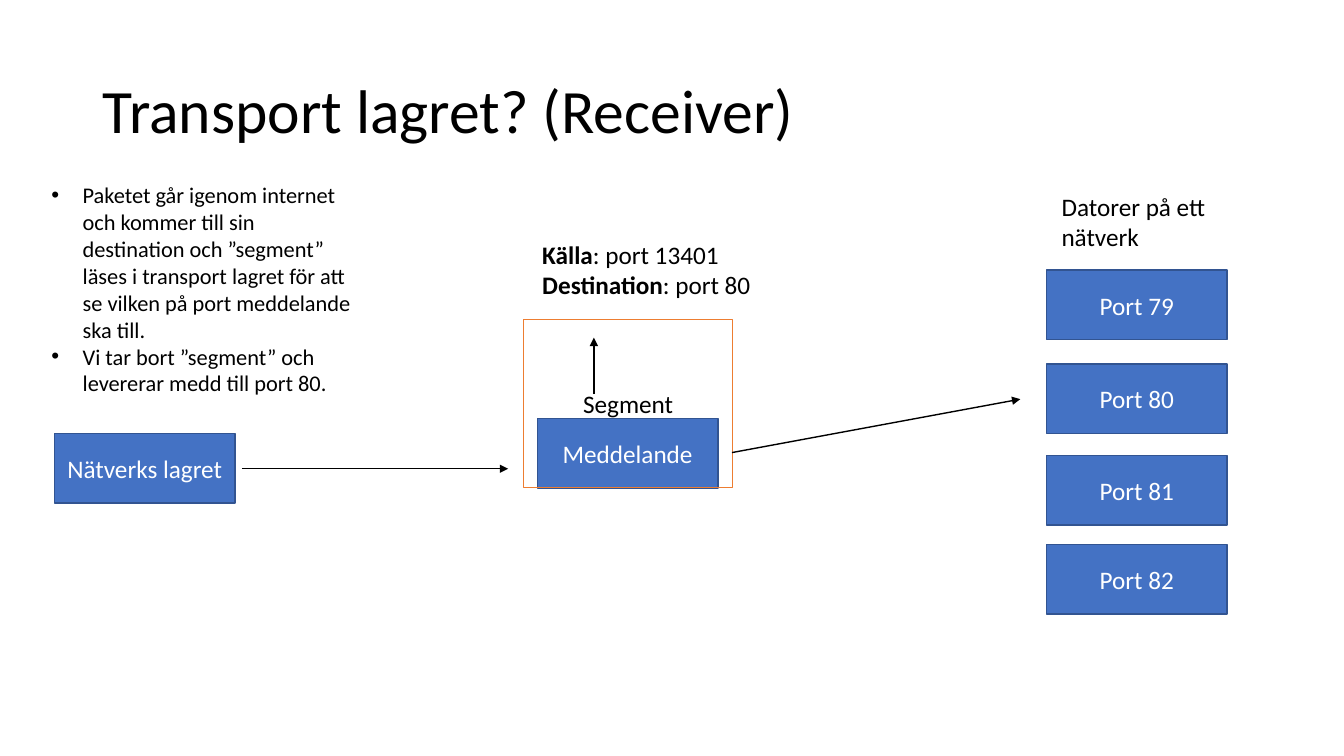
from pptx import Presentation
from pptx.dml.color import RGBColor
from pptx.enum import shapes, text
from pptx.oxml.ns import qn
from pptx.util import Inches, Pt
from lxml import etree

# Content
TITLE = "Transport lagret? (Receiver)"
POINTS = [
    "Paketet går igenom internet och kommer till sin destination och ”segment” "
    "läses i transport lagret för att se vilken på port meddelande ska till.",
    "Vi tar bort ”segment” och levererar medd till port 80.",
]
PORTS = {"Port 79": 2.68, "Port 80": 3.61, "Port 81": 4.52, "Port 82": 5.4}
HEADER_FIELDS = [("Källa", ": port 13401"), ("Destination", ": port 80")]
NETWORK_LABEL = "Datorer på ett nätverk"
ARROWS = [
    ((2.4, 4.65), (5.04, 4.65)),  # network layer to segment
    ((7.26, 4.49), (10.12, 3.96)),  # segment to port 80
    ((5.89, 3.91), (5.89, 3.35)),  # segment to its header
]
COLORS = {"text": "000000", "white": "FFFFFF", "blue": "4472C4",
          "edge": "325491", "orange": "ED7D31"}
FONT = "Calibri"
BOX_SIZE = (1.79, 0.69)
PORT_LEFT = 10.38


def color(name):
    return RGBColor.from_string(COLORS[name])


def format_text(frame, size=18, ink="text", align=text.PP_ALIGN.LEFT):
    frame.word_wrap = True
    for para in frame.paragraphs:
        para.alignment = align
        for span in para.runs:
            span.font.name = FONT
            span.font.size = Pt(size)
            span.font.color.rgb = color(ink)


def place(shape, left, top, width, height):
    shape.left, shape.top = Inches(left), Inches(top)
    shape.width, shape.height = Inches(width), Inches(height)


def add_box(label, left, top, size=BOX_SIZE, fill="blue", edge="edge",
            weight=1, ink="white"):
    box = page.shapes.add_shape(shapes.MSO_SHAPE.RECTANGLE,
                                *map(Inches, (left, top, *size)))
    box.shadow.inherit = False
    if fill:
        box.fill.solid()
        box.fill.fore_color.rgb = color(fill)
    else:
        box.fill.background()
    box.line.color.rgb = color(edge)
    box.line.width = Pt(weight)
    frame = box.text_frame
    frame.text = label
    frame.vertical_anchor = text.MSO_ANCHOR.MIDDLE
    format_text(frame, ink=ink, align=text.PP_ALIGN.CENTER)


def add_arrow(start, end):
    arrow = page.shapes.add_connector(shapes.MSO_CONNECTOR.STRAIGHT,
                                      *map(Inches, (*start, *end)))
    arrow.line.color.rgb = color("text")
    arrow.line.width = Pt(1)
    etree.SubElement(arrow.line._get_or_add_ln(), qn("a:tailEnd"), type="triangle")
    etree.SubElement(arrow._element.spPr, qn("a:effectLst"))


def add_label(left, top, width, height):
    return page.shapes.add_textbox(
        *map(Inches, (left, top, width, height))).text_frame


deck = Presentation()
deck.slide_width, deck.slide_height = Inches(13.33), Inches(7.5)
page = deck.slides.add_slide(deck.slide_layouts[1])

# Title
title = page.shapes.title
place(title, 0.92, 0.4, 11.5, 1.45)
title.text_frame.text = TITLE
title.text_frame.vertical_anchor = text.MSO_ANCHOR.MIDDLE
title.text_frame.paragraphs[0].line_spacing = 0.9
format_text(title.text_frame, size=44)

# Explanation list
body = page.placeholders[1]
place(body, 0.41, 1.75, 3.23, 2.26)
body.text_frame.text = "\n".join(POINTS)
body.text_frame.auto_size = text.MSO_AUTO_SIZE.NONE
format_text(body.text_frame, size=16)
for para in body.text_frame.paragraphs:
    para.space_before = Pt(0)
    properties = para._p.get_or_add_pPr()
    properties.set("marL", str(Inches(0.31)))
    properties.set("indent", str(Inches(-0.31)))
    etree.SubElement(properties, qn("a:buFont"), typeface="Arial")
    etree.SubElement(properties, qn("a:buChar"), char="•")

# Boxes
for port, top in PORTS.items():
    add_box(port, PORT_LEFT, top)
add_box("Nätverks lagret", 0.54, 4.3)
add_box("Meddelande", 5.33, 4.15)
add_box("Segment", 5.19, 3.17, size=(2.08, 1.67), fill=None, edge="orange",
        weight=0.75, ink="text")

# Arrows
for start, end in ARROWS:
    add_arrow(start, end)

# Segment header: bold field names, values on one line each
header = add_label(5.28, 2.32, 2.53, 0.71)
para = header.paragraphs[0]
for index, (field, value) in enumerate(HEADER_FIELDS):
    if index:
        para.add_line_break()
    for words, bold in ((field, True), (value, False)):
        span = para.add_run()
        span.text = words
        span.font.bold = bold
format_text(header)

# Label above the ports
network = add_label(10.43, 1.85, 1.98, 0.71)
network.text = NETWORK_LABEL
format_text(network)

deck.save("out.pptx")
